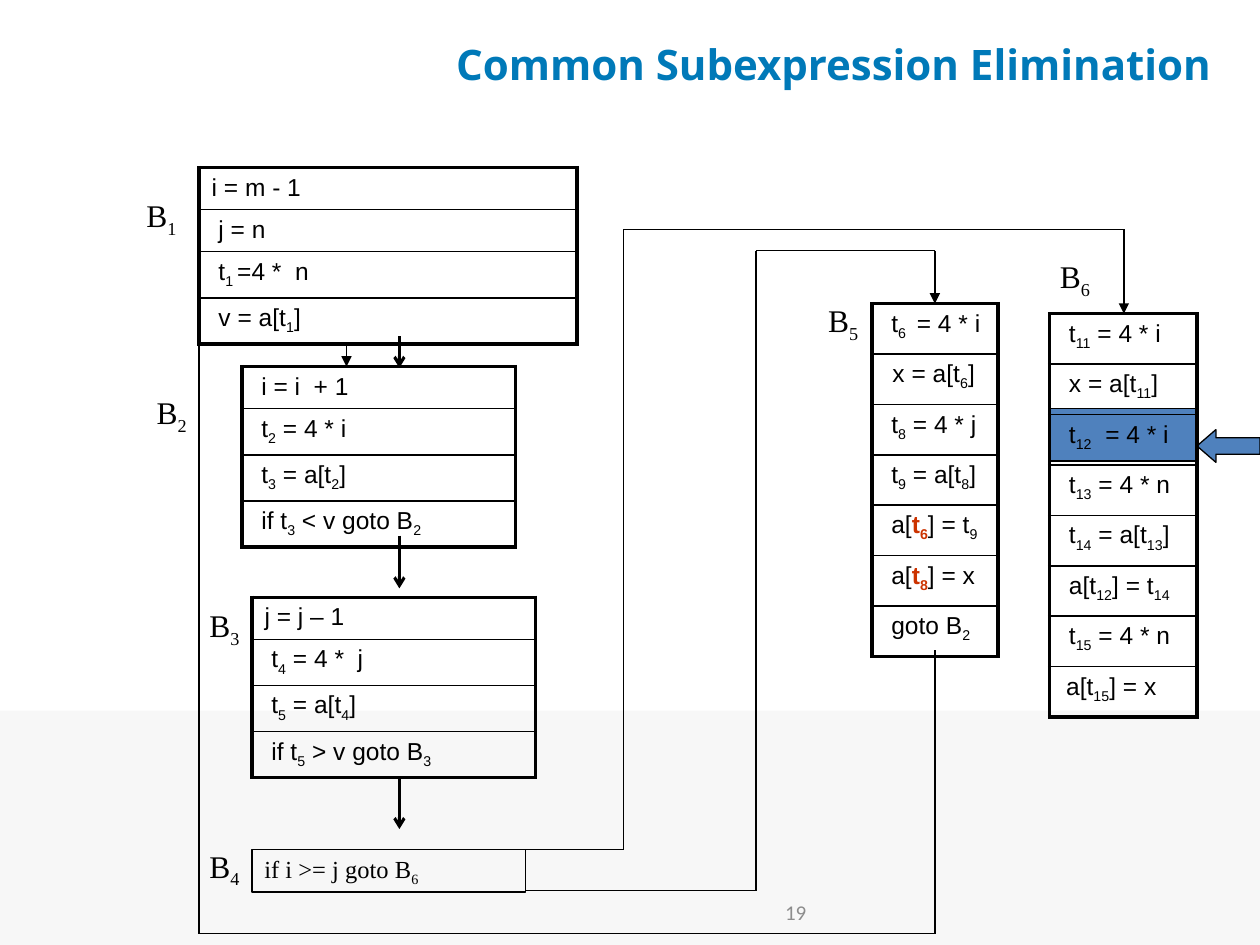
from itertools import pairwise

from lxml import etree
from pptx import Presentation, util as u
from pptx.dml.color import RGBColor
from pptx.enum import shapes, text
from pptx.oxml import ns

COLORS = {
    "white": "FFFFFF", "band": "F7F7F7", "black": "000000", "title": "0079B8",
    "number": "8C8C8C", "highlight": "4F81BD", "red": "CC3300",
}
LEFT, CENTER, RIGHT = text.PP_ALIGN.LEFT, text.PP_ALIGN.CENTER, text.PP_ALIGN.RIGHT
TALL, SHORT = 0.35, 0.32  # code rows with and without subscripts
THICK, THIN = 2.25, 1

# Code blocks: left, top, width, row heights, lines.
# _x_ marks a subscript, |x| marks a red variable.
BLOCKS = [
    (1.58, 1.33, 3, [SHORT, SHORT, TALL, TALL],
     ["i = m - 1", " j = n", " t_1 _=4 *  n", " v = a[t_1_]"]),
    (1.92, 2.91, 2.17, [SHORT, TALL, TALL, TALL],
     [" i = i  + 1", " t_2_ = 4 * i", " t_3_ = a[t_2_]", " if t_3_ < v goto B_2_"]),
    (2, 4.74, 2.25, [0.33, TALL, TALL, TALL],
     ["j = j – 1", " t_4_ = 4 *  j", " t_5_ = a[t_4_]", " if t_5_ > v goto B_3_"]),
    (6.92, 2.41, 1, [0.4] * 7,
     [" t_6 _ = 4 * i", "_  _x = a[t_6_]", " t_8_ = 4 * j", " t_9_ = a[t_8_]",
      " a[|t_6_|] = t_9_", " a[|t_8_|] = x", " goto B_2_"]),
    (8.33, 2.49, 1.17, [0.4] * 8,
     [" t_11_ = 4 * i", " x = a[t_11_]", " t_12_  = 4 * i", " t_13_ = 4 * n",
      " t_14_ = a[t_13_]", " a[t_12_] = t_14_", " t_15_ = 4 * n", "_ _a[t_15_] = x"]),
]

# Left and top of the labels B1 to B6
LABELS = [(0.67, 1.51), (0.75, 3.07), (1.17, 4.76), (1.17, 6.67), (6.08, 2.34), (7.92, 1.99)]

# Jumps between blocks, each ending in an arrowhead
JUMPS = [
    [(4.08, 6.74), (4.95, 6.74), (4.95, 1.82), (8.92, 1.82), (8.92, 2.49)],
    [(4.17, 7.07), (6, 7.07), (6, 1.99), (7.42, 1.99), (7.42, 2.41)],
    [(7.42, 5.16), (7.42, 7.41), (1.58, 7.41), (1.58, 2.74), (2.75, 2.74), (2.75, 2.91)],
]

# Start and end heights of the fall-through arrows
FLOW_X = 3.17
FLOWS = [(2.67, 2.92), (4.25, 4.67), (6.17, 6.58)]


def color(name):
    return RGBColor.from_string(COLORS[name])


def write(frame, content, size, font, tint="black", bold=False, align=LEFT):
    para = frame.paragraphs[0]
    para.alignment = align
    para.font.size = u.Pt(size)
    para.font.name = font
    para.font.bold = bold
    para.font.color.rgb = color(tint)
    for i, part in enumerate(content.split("|")):
        for j, piece in enumerate(part.split("_")):
            if not piece:
                continue
            span = para.add_run()
            span.text = piece
            if i % 2:
                span.font.bold = True
                span.font.color.rgb = color("red")
            if j % 2:
                span._r.get_or_add_rPr().set("baseline", "-25000")


def add_text(page, left, top, width, height, *style, **options):
    box = page.shapes.add_textbox(*map(u.Inches, (left, top, width, height)))
    box.text_frame.word_wrap = True
    box.text_frame.vertical_anchor = options.pop("anchor", text.MSO_ANCHOR.TOP)
    write(box.text_frame, *style, **options)


def add_box(page, kind, left, top, width, height, fill=None, outlined=True):
    box = page.shapes.add_shape(kind, *map(u.Inches, (left, top, width, height)))
    box.shadow.inherit = False
    if fill:
        box.fill.solid()
        box.fill.fore_color.rgb = color(fill)
    else:
        box.fill.background()
    if outlined:
        box.line.color.rgb = color("black")
        box.line.width = u.Pt(0.75)
    else:
        box.line.fill.background()
    return box


def set_border(cell, side, points):
    properties = cell._tc.get_or_add_tcPr()
    line = etree.SubElement(properties, ns.qn(f"a:ln{side}"), w=str(u.Pt(points)))
    fill = etree.SubElement(line, ns.qn("a:solidFill"))
    etree.SubElement(fill, ns.qn("a:srgbClr"), val=COLORS["black"])


def add_code(page, left, top, width, heights, lines):
    frame = page.shapes.add_table(
        len(lines), 1, *map(u.Inches, (left, top, width, sum(heights))))
    table = frame.table
    table.first_row = table.horz_banding = False
    last = len(lines) - 1
    for i, (height, line) in enumerate(zip(heights, lines)):
        table.rows[i].height = u.Inches(height)
        cell = table.cell(i, 0)
        set_border(cell, "L", THICK)
        set_border(cell, "R", THICK)
        set_border(cell, "T", THICK if i == 0 else THIN)
        set_border(cell, "B", THICK if i == last else THIN)
        cell.fill.background()
        write(cell.text_frame, line, 14, "Arial")


def add_line(page, start, end, width=0.75, head=None):
    line = page.shapes.add_connector(
        shapes.MSO_CONNECTOR.STRAIGHT, *map(u.Inches, (*start, *end)))
    line.line.color.rgb = color("black")
    line.line.width = u.Pt(width)
    if head:
        etree.SubElement(line.line._get_or_add_ln(), ns.qn("a:tailEnd"), type=head)
    etree.SubElement(line._element.spPr, ns.qn("a:effectLst"))


def add_jump(page, points):
    segments = list(pairwise(points))
    for start, end in segments[:-1]:
        add_line(page, start, end)
    add_line(page, *segments[-1], head="triangle")


def main():
    deck = Presentation()
    deck.slide_width, deck.slide_height = u.Inches(10), u.Inches(7.5)
    page = deck.slides.add_slide(deck.slide_layouts[6])
    page.background.fill.solid()
    page.background.fill.fore_color.rgb = color("white")
    rectangle = shapes.MSO_SHAPE.RECTANGLE
    middle = text.MSO_ANCHOR.MIDDLE

    # Backdrop, page number and title
    add_box(page, rectangle, 0, 5.64, 10, 1.86, "band", outlined=False)
    add_text(page, 4.73, 6.98, 3.17, 0.52, "19", 12, "Calibri", "number",
             align=CENTER, anchor=middle)
    add_text(page, 3.42, 0.17, 6.39, 0.67, "Common Subexpression Elimination", 24,
             "Open Sans", "title", bold=True, align=CENTER, anchor=middle)

    # Highlight behind the repeated expression, with its pointer
    add_box(page, rectangle, 8.33, 3.24, 1.17, 0.42, "highlight")
    pointer = add_box(page, shapes.MSO_SHAPE.LEFT_ARROW, 9.5, 3.41, 0.5, 0.26, "highlight")
    pointer.adjustments[1] = 0.58

    # Code blocks
    for block in BLOCKS:
        add_code(page, *block)
    branch = add_box(page, rectangle, 2, 6.74, 2.17, 0.34)
    branch.text_frame.vertical_anchor = middle
    write(branch.text_frame, "if i >= j goto B_6_", 14, "Times New Roman")
    for number, (left, top) in enumerate(LABELS, 1):
        add_text(page, left, top, 0.83, 0.4, f"B_{number}_", 18, "Times New Roman", align=RIGHT)

    # Control flow
    for points in JUMPS:
        add_jump(page, points)
    for top, bottom in FLOWS:
        add_line(page, (FLOW_X, top), (FLOW_X, bottom), 1.75, "arrow")

    deck.save("out.pptx")


if __name__ == "__main__":
    main()
